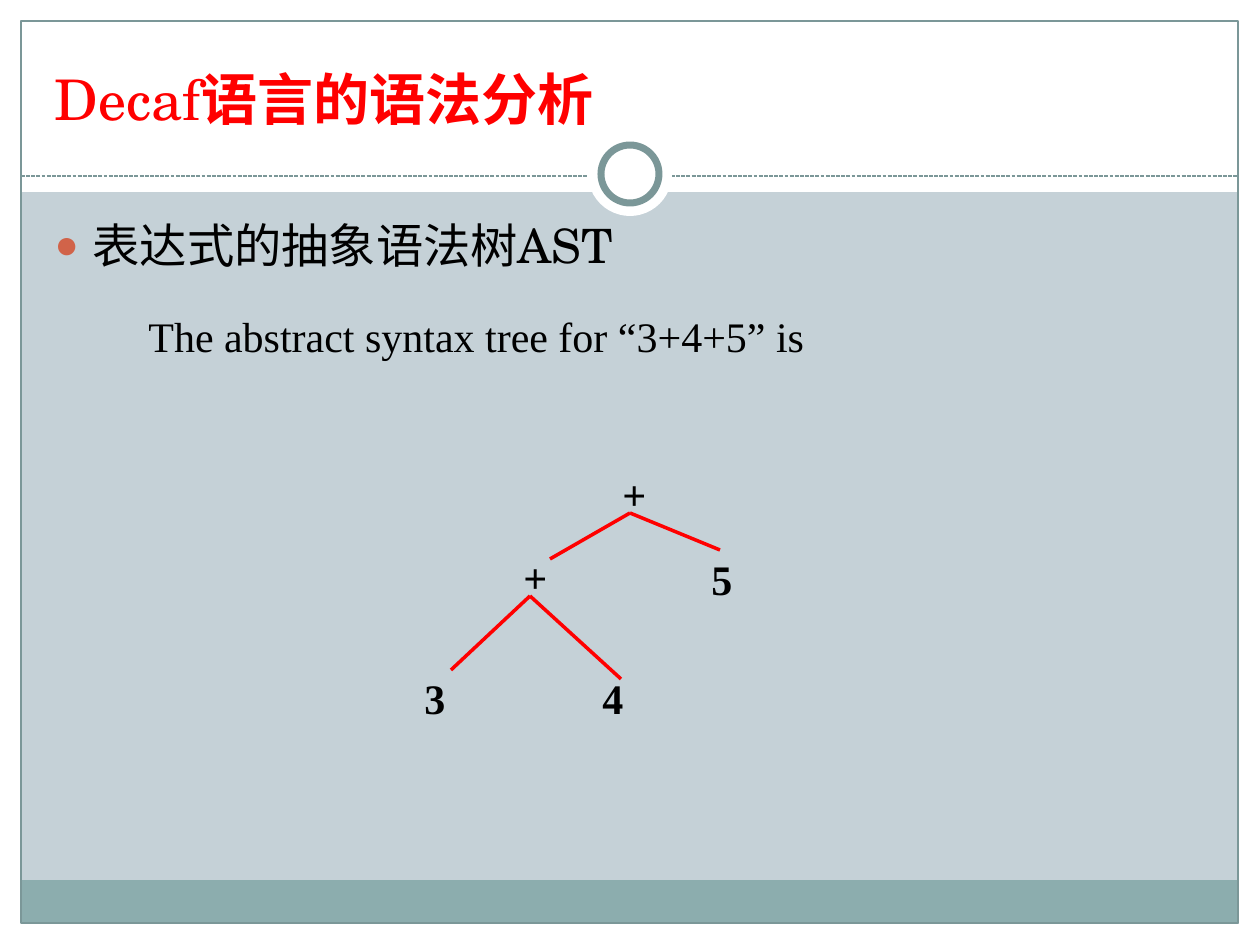
from lxml import etree
from pptx import Presentation, util as u
from pptx.dml.color import RGBColor
from pptx.enum import dml, shapes, text
from pptx.oxml.ns import qn

COLORS = {"back": "C5D1D7", "white": "FFFFFF", "band": "8CADAE", "edge": "7B9798",
          "red": "FF0000", "black": "000000", "dot": "D16349"}
SERIF, TIMES = "TeX Gyre Schola", "Times New Roman"
RECT, OVAL = shapes.MSO_SHAPE.RECTANGLE, shapes.MSO_SHAPE.OVAL


def px(n):
    return u.Emu(round(n * 914400 / 126))


def color(name):
    return RGBColor.from_string(COLORS[name])


def write(para, words, size=24, font=TIMES, ink="black", bold=False):
    run = para.add_run()
    run.text = words
    run.font.size, run.font.name, run.font.bold = u.Pt(size), font, bold
    run.font.color.rgb = color(ink)


class Deck:
    def __init__(self):
        self.prs = Presentation()
        self.prs.slide_width, self.prs.slide_height = px(1260), px(945)
        self.slide = self.prs.slides.add_slide(self.prs.slide_layouts[1])
        fill = self.slide.background.fill
        fill.solid()
        fill.fore_color.rgb = color("back")

    def shape(self, kind, x, y, w, h, fill=None, line=None, width=0.75):
        item = self.slide.shapes.add_shape(kind, px(x), px(y), px(w), px(h))
        item.shadow.inherit = False
        if fill:
            item.fill.solid()
            item.fill.fore_color.rgb = color(fill)
        else:
            item.fill.background()
        if line:
            item.line.color.rgb = color(line)
            item.line.width = u.Pt(width)
        else:
            item.line.fill.background()

    def line(self, start, end, ink="red", width=2, dash=None):
        item = self.slide.shapes.add_connector(
            shapes.MSO_CONNECTOR.STRAIGHT, *map(px, start + end))
        item.line.color.rgb = color(ink)
        item.line.width = u.Pt(width)
        if dash:
            item.line.dash_style = dash
        etree.SubElement(item._element.spPr, qn("a:effectLst"))

    def holder(self, index, x, y, w, h, anchor):
        item = self.slide.placeholders[index]
        item.left, item.top, item.width, item.height = map(px, (x, y, w, h))
        self.slide.shapes._spTree.append(item._element)  # in front of the frame
        frame = item.text_frame
        frame.auto_size = text.MSO_AUTO_SIZE.NONE
        frame.vertical_anchor = anchor
        para = frame.paragraphs[0]
        para.alignment = text.PP_ALIGN.LEFT
        para.space_before = u.Pt(0)
        return para

    def bullet(self, para, indent):
        props = para._p.get_or_add_pPr()
        props.set("marL", str(px(indent)))
        props.set("indent", str(-px(indent)))
        tint = etree.SubElement(props, qn("a:buClr"))
        etree.SubElement(tint, qn("a:srgbClr"), val=COLORS["dot"])
        etree.SubElement(props, qn("a:buSzPct"), val="85000")
        etree.SubElement(props, qn("a:buChar"), char="●")

    def label(self, words, x, y, w, h, **style):
        frame = self.slide.shapes.add_textbox(px(x), px(y), px(w), px(h)).text_frame
        frame.word_wrap = True
        frame.vertical_anchor = text.MSO_ANCHOR.MIDDLE
        write(frame.paragraphs[0], words, **style)


def main():
    deck = Deck()

    # Frame: white margins, footer band, border, dashed rule and ring
    for box in ((0, 924, 1260, 21), (0, 0, 1260, 192), (0, 0, 21, 945), (1239, 0, 21, 945)):
        deck.shape(RECT, *box, fill="white")
    deck.shape(RECT, 21, 880, 1217, 43, fill="band")
    deck.shape(RECT, 21, 21, 1217, 902, line="edge")
    deck.line((21, 176), (1239, 176), "edge", 0.75, dml.MSO_LINE.SQUARE_DOT)
    deck.shape(OVAL, 588, 132, 84, 84, fill="white")
    deck.shape(OVAL, 601, 145, 58, 58, fill="white", line="edge", width=4)

    # Title and list
    title = deck.holder(0, 42, 48, 1172, 100, text.MSO_ANCHOR.MIDDLE)
    write(title, "Decaf", 32, SERIF, "red")
    write(title, "语言的语法分析", 32, SERIF, "red", bold=True)
    body = deck.holder(1, 42, 210, 1172, 630, text.MSO_ANCHOR.TOP)
    deck.bullet(body, 38)
    write(body, "表达式的抽象语法树AST", 27, SERIF)

    # Syntax tree
    nodes = (("+", 610, 457), ("+", 511, 540), ("5", 699, 542),
             ("3", 412, 661), ("4", 590, 661))
    for sign, x, y in nodes:
        deck.label(sign, x, y, 59, 73, bold=True)
    forks = {(530, 596): ((451, 670), (621, 679)),
             (630, 513): ((550, 559), (720, 550))}
    for top, ends in forks.items():
        for end in ends:
            deck.line(top, end)

    # Sentence above the tree
    deck.label("The abstract syntax tree for “3+4+5” is", 136, 306, 970, 60)

    deck.prs.save("out.pptx")


if __name__ == "__main__":
    main()
